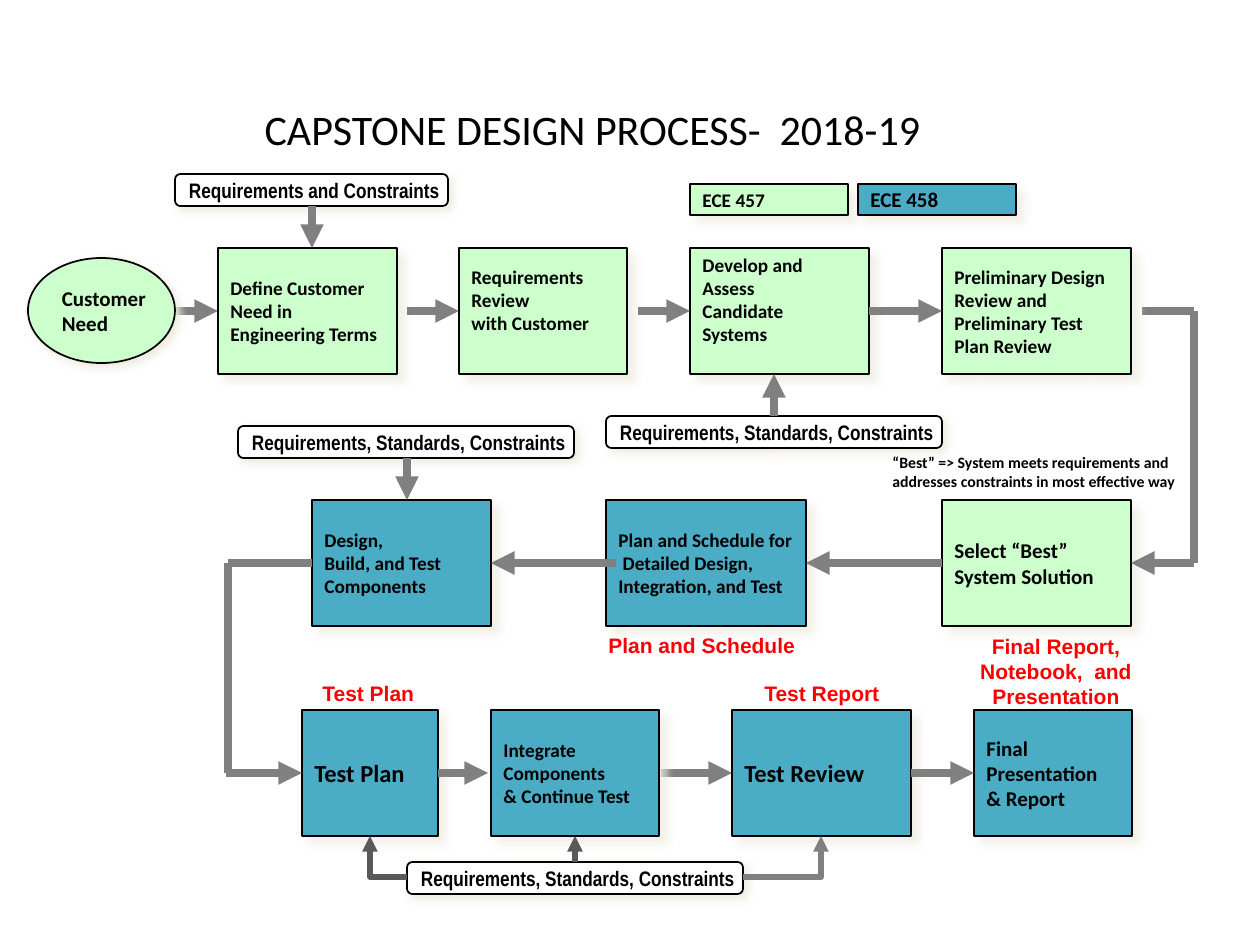
import pptx
import pptx.util
import pptx.dml.color
import pptx.enum.shapes
import pptx.enum.text
import pptx.oxml
import pptx.oxml.ns

RGB = pptx.dml.color.RGBColor
GREEN = RGB(0xCC, 0xFF, 0xCC)
BLUE = RGB(0x4B, 0xAC, 0xC6)
WHITE = RGB(0xFF, 0xFF, 0xFF)
BLACK = RGB(0, 0, 0)
RED = RGB(0xFF, 0, 0)
GREY = RGB(0x80, 0x80, 0x80)
DARK = RGB(0x59, 0x59, 0x59)
KIND = pptx.enum.shapes.MSO_SHAPE
LINK = pptx.enum.shapes.MSO_CONNECTOR
ANCHOR = pptx.enum.text.MSO_ANCHOR
ALIGN = pptx.enum.text.PP_ALIGN
SIZE = pptx.enum.text.MSO_AUTO_SIZE
SCALE = 914400 / 126
INSET = 6
GAP = 23

TITLE = "CAPSTONE DESIGN PROCESS-  2018-19"
ROWS = [
    (248, 126, [
        (218, 179, GREEN, 11, "Define Customer\nNeed in\nEngineering Terms", 0),
        (459, 168, GREEN, 11, "Requirements\nReview\nwith Customer", GAP),
        (690, 179, GREEN, 11, "Develop and\nAssess\nCandidate\nSystems", GAP),
        (942, 189, GREEN, 11, "Preliminary Design\nReview and\nPreliminary Test\nPlan Review", 0),
    ]),
    (500, 126, [
        (312, 179, BLUE, 11, "Design,\nBuild, and Test\nComponents", 0),
        (606, 200, BLUE, 11, "Plan and Schedule for\n Detailed Design,\nIntegration, and Test", 0),
        (942, 189, GREEN, 12, "Select “Best”\nSystem Solution", 0),
    ]),
    (710, 126, [
        (302, 136, BLUE, 14, "Test Plan", 0),
        (491, 168, BLUE, 11, "Integrate\nComponents\n& Continue Test", 0),
        (732, 179, BLUE, 14, "Test Review", 0),
        (974, 158, BLUE, 12, "Final\nPresentation\n& Report", 0),
    ]),
    (184, 31, [
        (690, 158, GREEN, 11, "ECE 457", 0),
        (858, 158, BLUE, 12, "ECE 458", 0),
    ]),
]
RULES = "Requirements, Standards, Constraints"
TAGS = [
    (175, 174, 273, "Requirements and Constraints"),
    (238, 426, 336, RULES),
    (606, 416, 336, RULES),
    (407, 862, 336, RULES),
]
NOTES = [
    ((880, 447, 336, 53), "“Best” => System meets requirements and addresses constraints in most effective way",
     9, "Calibri", BLACK, ALIGN.LEFT),
    ((596, 626, 220, 38), "Plan and Schedule", 12, "Arial", RED, ALIGN.LEFT),
    ((310, 674, 147, 38), "Test Plan", 12, "Arial", RED, ALIGN.LEFT),
    ((752, 674, 150, 38), "Test Report", 12, "Arial", RED, ALIGN.LEFT),
    ((930, 627, 252, 89), "Final Report, Notebook,  and Presentation", 12, "Arial", RED, ALIGN.CENTER),
]
TOP, MID, LOW = 311, 563, 773
UNDER = [
    (175, TOP, 218, TOP, True), (661, LOW, 732, LOW, True), (1194, TOP, 1142, TOP, False),
]
OVER = [
    (407, TOP, 459, TOP, True), (638, TOP, 690, TOP, True), (869, TOP, 942, TOP, True),
    (1194, TOP, 1194, MID, False), (1194, MID, 1131, MID, True),
    (942, MID, 806, MID, True), (616, MID, 491, MID, True), (312, MID, 228, MID, False),
    (228, MID, 228, LOW, False), (226, LOW, 302, LOW, True),
    (438, LOW, 488, LOW, True), (911, LOW, 974, LOW, True),
    (312, 206, 312, 248, True), (407, 458, 407, 500, True), (774, 416, 774, 374, True),
]
BENDS = [
    (743, 877, 821, 836, GREY, LINK.ELBOW),
    (407, 877, 370, 836, DARK, LINK.ELBOW),
    (575, 862, 575, 836, DARK, LINK.STRAIGHT),
]


def emu(*vals):
    return [round(v * SCALE) for v in vals]


def apply(obj, fmt):
    for key, val in fmt.items():
        setattr(obj, key, val)


def node(xml):
    return pptx.oxml.parse_xml(xml.replace(">", " " + pptx.oxml.ns.nsdecls("a") + ">", 1))


def write(shape, text, size, font, color, bold=True, align=ALIGN.LEFT, **frame):
    tf = shape.text_frame
    tf.text = text
    apply(tf, frame)
    for par in tf.paragraphs:
        par.alignment = align
        apply(par.font, {"size": pptx.util.Pt(size), "name": font, "bold": bold})
        par.font.color.rgb = color


def box(kind, area, fill, text, size, font, dist, alpha, gap=0):
    shape = slide.shapes.add_shape(kind, *emu(*area))
    shape.fill.solid()
    shape.fill.fore_color.rgb = fill
    shape.line.color.rgb = BLACK
    shape.line.width = pptx.util.Pt(1)
    shape.shadow.inherit = False
    glow = shape._element.spPr.find(pptx.oxml.ns.qn("a:effectLst"))
    glow.append(node(
        f'<a:outerShdw blurRad="63500" dist="{round(dist * 12700)}" dir="2700000" algn="ctr" rotWithShape="0">'
        f'<a:srgbClr val="EEECE1"><a:alpha val="{alpha * 1000}"/></a:srgbClr></a:outerShdw>'))
    write(shape, text, size, font, BLACK, word_wrap=False, vertical_anchor=ANCHOR.MIDDLE,
          margin_bottom=emu(INSET + gap)[0])


def link(ends, color, width, head, kind=LINK.STRAIGHT):
    wire = slide.shapes.add_connector(kind, *emu(*ends))
    wire.line.color.rgb = color
    wire.line.width = pptx.util.Pt(width)
    props = wire._element.spPr
    if kind == LINK.ELBOW:
        props.find(pptx.oxml.ns.qn("a:prstGeom")).set("prst", "bentConnector2")
    if head:
        props.find(pptx.oxml.ns.qn("a:ln")).append(node('<a:tailEnd type="triangle"></a:tailEnd>'))
    props.append(node("<a:effectLst></a:effectLst>"))


deck = pptx.Presentation()
apply(deck, {"slide_width": pptx.util.Inches(10), "slide_height": pptx.util.Inches(7.5)})
slide = deck.slides.add_slide(deck.slide_layouts[5])
title = slide.shapes.title
apply(title, dict(zip(("left", "top", "width", "height"), emu(252, 97, 809, 63))))
write(title, TITLE, 24, "Calibri", BLACK, False, word_wrap=True,
      auto_size=SIZE.NONE, vertical_anchor=ANCHOR.TOP)

for *ends, head in UNDER:
    link(ends, GREY, 4.5, head)
for top, high, cells in ROWS:
    for left, wide, fill, size, text, gap in cells:
        box(KIND.RECTANGLE, (left, top, wide, high), fill, text, size, "Calibri", 5.7, 75, gap)
box(KIND.OVAL, (28, 258, 147, 105), GREEN, "Customer\nNeed", 12, "Calibri", 2.8, 100)
for left, top, wide, text in TAGS:
    box(KIND.ROUNDED_RECTANGLE, (left, top, wide, 32), WHITE, text, 12, "Arial Narrow", 2.8, 100)
for *ends, head in OVER:
    link(ends, GREY, 4.5, head)
for *ends, color, kind in BENDS:
    link(ends, color, 3, True, kind)
for area, text, size, font, color, align in NOTES:
    note = slide.shapes.add_textbox(*emu(*area))
    write(note, text, size, font, color, True, align, word_wrap=True)

deck.save("out.pptx")
